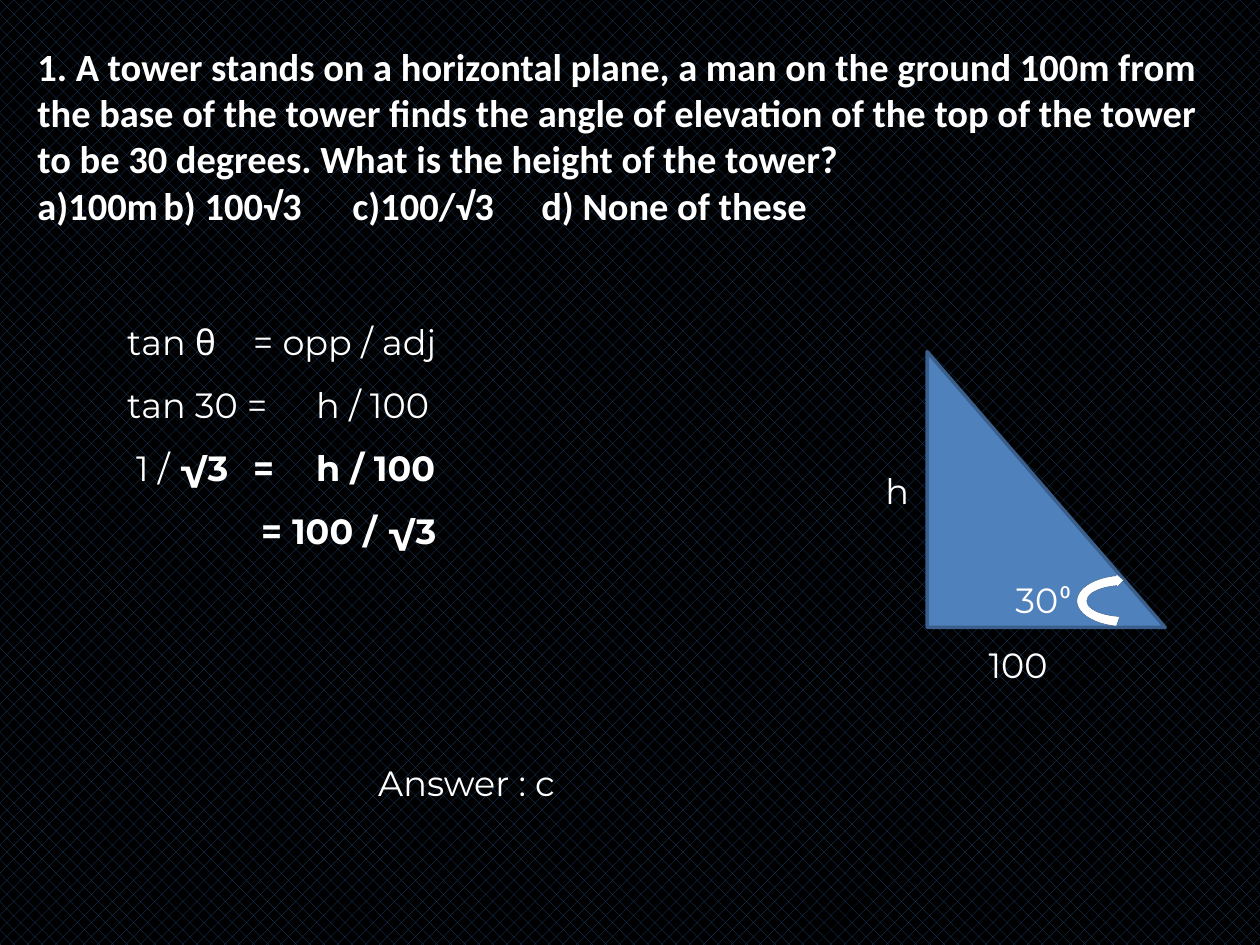
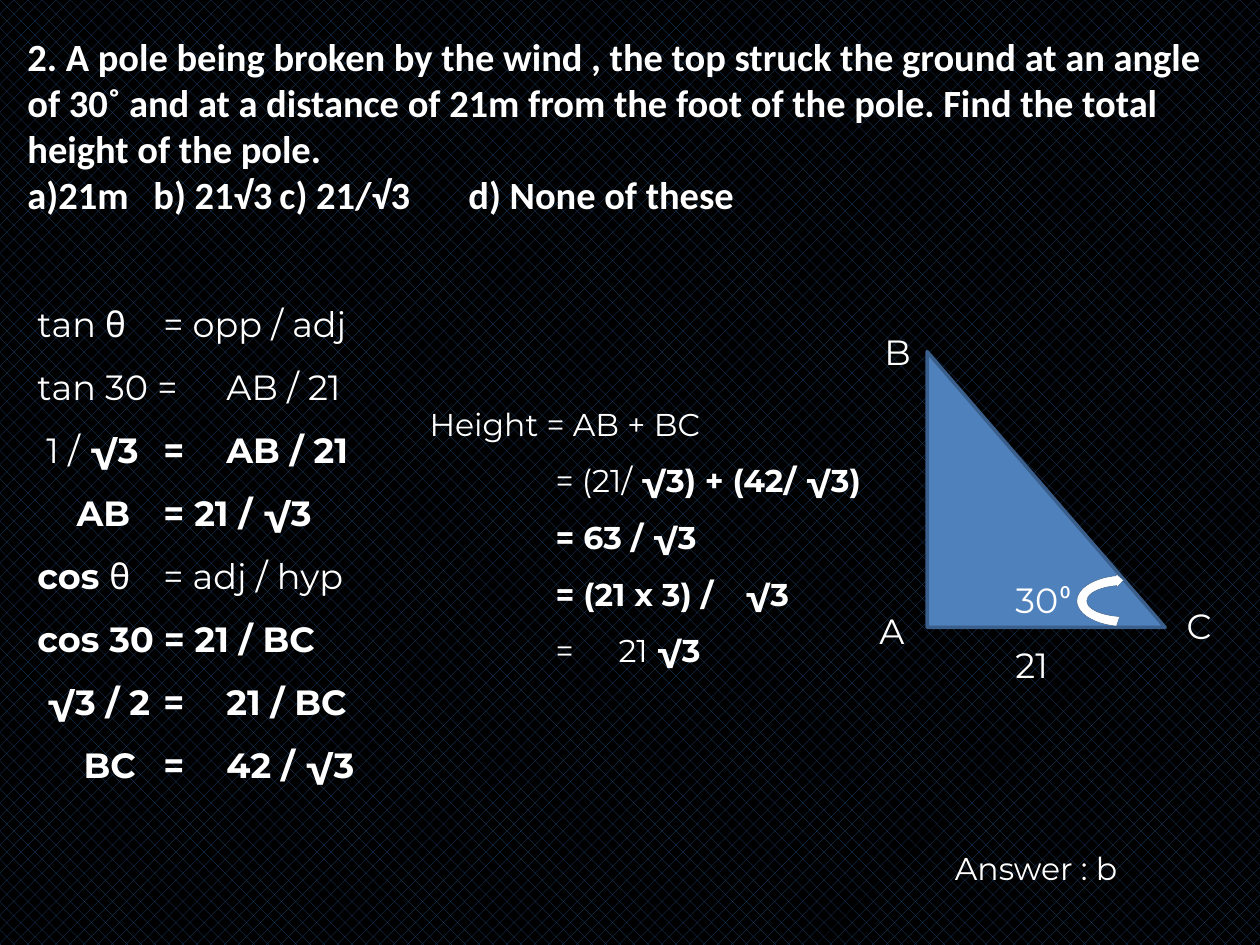
from lxml import etree
from pptx import Presentation
from pptx.dml.color import RGBColor
from pptx.enum.dml import MSO_PATTERN
from pptx.enum.shapes import MSO_SHAPE
from pptx.enum.text import MSO_ANCHOR, MSO_AUTO_SIZE, PP_ALIGN
from pptx.oxml.ns import qn
from pptx.util import Cm, Pt

LEFT = PP_ALIGN.LEFT
TOP = MSO_ANCHOR.TOP
FIXED = MSO_AUTO_SIZE.NONE
DOTS = MSO_PATTERN.PERCENT_25
WEDGE = MSO_SHAPE.RIGHT_TRIANGLE
ARC = MSO_SHAPE.CIRCULAR_ARROW

WHITE, BLACK, NAVY = "FFFFFF", "000000", "1F497D"
BLUE, EDGE = "4F81BD", "3A5F8C"
HEAD, BODY = "Calibri", "Montserrat"
BEND = (0.179, 11.423, 148.746, 64.833, 0.125)
TABS = [5.08 * n for n in (1, 2, 3)]


def paint(code):
    return RGBColor.from_string(code)


def line(text, indent=0, stops=(), before=0):
    return text, indent, stops, before


def write(frame, lines, size=20, font=BODY, bold=False, space=1.0):
    frame.word_wrap = True
    frame.auto_size = FIXED
    frame.vertical_anchor = TOP
    for n, (text, indent, stops, before) in enumerate(lines):
        para = frame.add_paragraph() if n else frame.paragraphs[0]
        para.alignment = LEFT
        para.line_spacing = space
        para.space_before = Pt(before)
        props = para._p.get_or_add_pPr()
        props.set("marL", "0")
        props.set("indent", str(Cm(indent)))
        etree.SubElement(props, qn("a:buNone"))
        if stops:
            tabs = etree.SubElement(props, qn("a:tabLst"))
            for stop in stops:
                etree.SubElement(tabs, qn("a:tab"), pos=str(Cm(stop)), algn="l")
        for part, piece in enumerate(text.split("*")):
            if piece:
                run = para.add_run()
                run.text = piece
                run.font.size = Pt(size)
                run.font.name = HEAD if piece == "⁰" else font
                run.font.bold = bold or part % 2 == 1 and piece != "⁰"
                run.font.color.rgb = paint(WHITE)


class Deck:
    def __init__(self):
        self.prs = Presentation()
        self.prs.slide_width, self.prs.slide_height = Cm(25.4), Cm(19.05)
        fill = self.prs.slide_master.background.fill
        fill.patterned()
        fill.pattern = DOTS
        fill.fore_color.rgb = paint(NAVY)
        fill.back_color.rgb = paint(BLACK)
        self.slide = None

    def page(self):
        self.slide = self.prs.slides.add_slide(self.prs.slide_layouts[1])

    def place(self, item, box):
        item.left, item.top, item.width, item.height = map(Cm, box)

    def title(self, box, ask, picks):
        item = self.slide.shapes.title
        self.place(item, box)
        lines = [line(ask), line("\t".join(picks), stops=TABS)]
        write(item.text_frame, lines, size=22, font=HEAD, bold=True)

    def body(self, box, lines):
        item = self.slide.placeholders[1]
        self.place(item, box)
        write(item.text_frame, lines, space=1.5)

    def text(self, box, lines, **style):
        item = self.slide.shapes.add_textbox(*map(Cm, box))
        write(item.text_frame, lines, **style)

    def label(self, text, left, top, width=1):
        self.text((left, top, width, 1.11), [line(text)])

    def shape(self, kind, box, fill, width):
        item = self.slide.shapes.add_shape(kind, *map(Cm, box))
        item.shadow.inherit = False
        item.fill.solid()
        item.fill.fore_color.rgb = paint(fill)
        item.line.color.rgb = paint(EDGE)
        item.line.width = Pt(width)
        return item

    def figure(self):
        self.shape(WEDGE, (18.69, 7.09, 4.8, 5.56), BLUE, 2)
        arc = self.shape(ARC, (21.67, 11.56, 2.01, 1.11), WHITE, 0.25)
        for n, value in enumerate(BEND):
            arc.adjustments[n] = value
        self.label("30*⁰", 20.22, 11.53, 1.98)


def tower(deck):
    deck.page()
    deck.title(
        (0.5, 0.74, 24.4, 4.01),
        "1. A tower stands on a horizontal plane, a man on the ground 100m from "
        "the base of the tower finds the angle of elevation of the top of the "
        "tower to be 30 degrees. What is the height of the tower?",
        ["a)100m", "b) 100√3", "c)100/√3", "d) None of these"])
    deck.body((2.31, 5.92, 10.87, 10.52), [
        line("tan θ\t= opp / adj", stops=[2.3]),
        line("tan 30 =\th / 100", stops=[3.16]),
        line("1 / *√3\t=\th / 100", 0.18, [2.4, 3.23]),
        line("*= 100 / √3", 2.7),
        line("Answer : c", 5.06, before=108)])
    deck.figure()
    deck.label("100", 19.68, 12.85, 1.98)
    deck.label("h", 17.6, 9.35)


def pole(deck):
    deck.page()
    deck.title(
        (0.3, 0.53, 24.61, 4.01),
        "2. A pole being broken by the wind , the top struck the ground at an "
        "angle of 30˚ and at a distance of 21m from the foot of the pole. Find "
        "the total height of the pole.",
        ["a)21m", "b) 21√3", "c) 21/√3", "d) None of these"])
    deck.body((0.5, 5.54, 7.6, 11.79), [
        line("tan θ\t= opp / adj", stops=[2.3]),
        line("tan 30 =\tAB / 21", stops=[3.18]),
        line("1 / *√3\t=\tAB / 21", 0.18, [2.4, 3.27]),
        line("*AB\t= 21 / √3", 0.79, [2.7]),
        line("*cos *θ\t= adj / hyp", stops=[2.7]),
        line("*cos 30 = 21 / BC"),
        line("*√3 / 2\t=\t21 / BC", 0.18, [2.64, 3.47]),
        line("*BC\t=\t42 / √3", 0.93, [2.4, 3.27])])
    deck.figure()
    for mark in (("21", 20.22, 12.85, 1.45), ("C", 23.67, 12.07),
                 ("A", 17.48, 12.17), ("B", 17.58, 6.53)):
        deck.label(*mark)
    deck.text((8.41, 7.65, 9.75, 7.19), [
        line("Height = AB + BC"),
        line("= (21/ *√3) + (42/ √3)", 2.54),
        line("*= 63 / √3", 2.54),
        line("*= (21 x 3) /\t√3", 2.54, [6.1]),
        line("=\t21 *√3", 2.54, [3.2])], size=18, space=1.5)
    deck.text((19, 16.61, 4.19, 1.42), [line("Answer : b")], size=18, space=1.5)


def main():
    deck = Deck()
    tower(deck)
    pole(deck)
    deck.prs.save("out.pptx")


if __name__ == "__main__":
    main()
